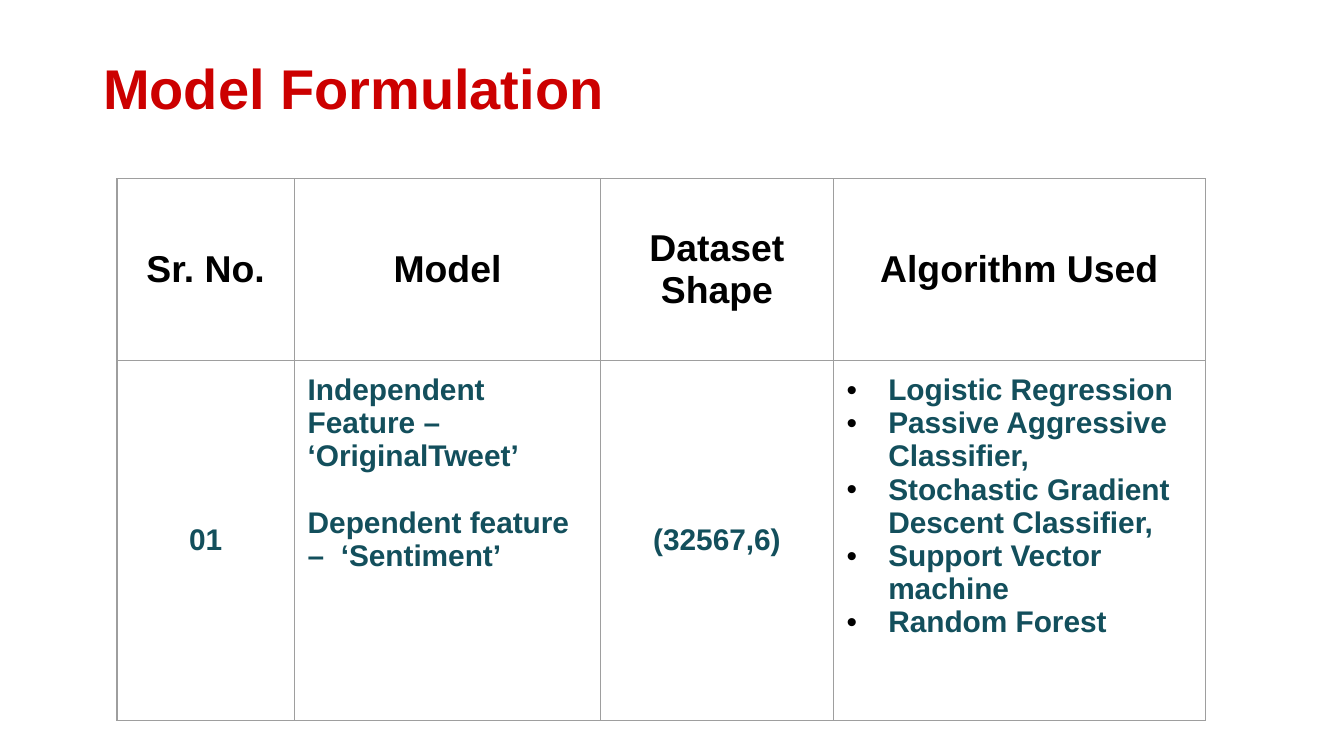
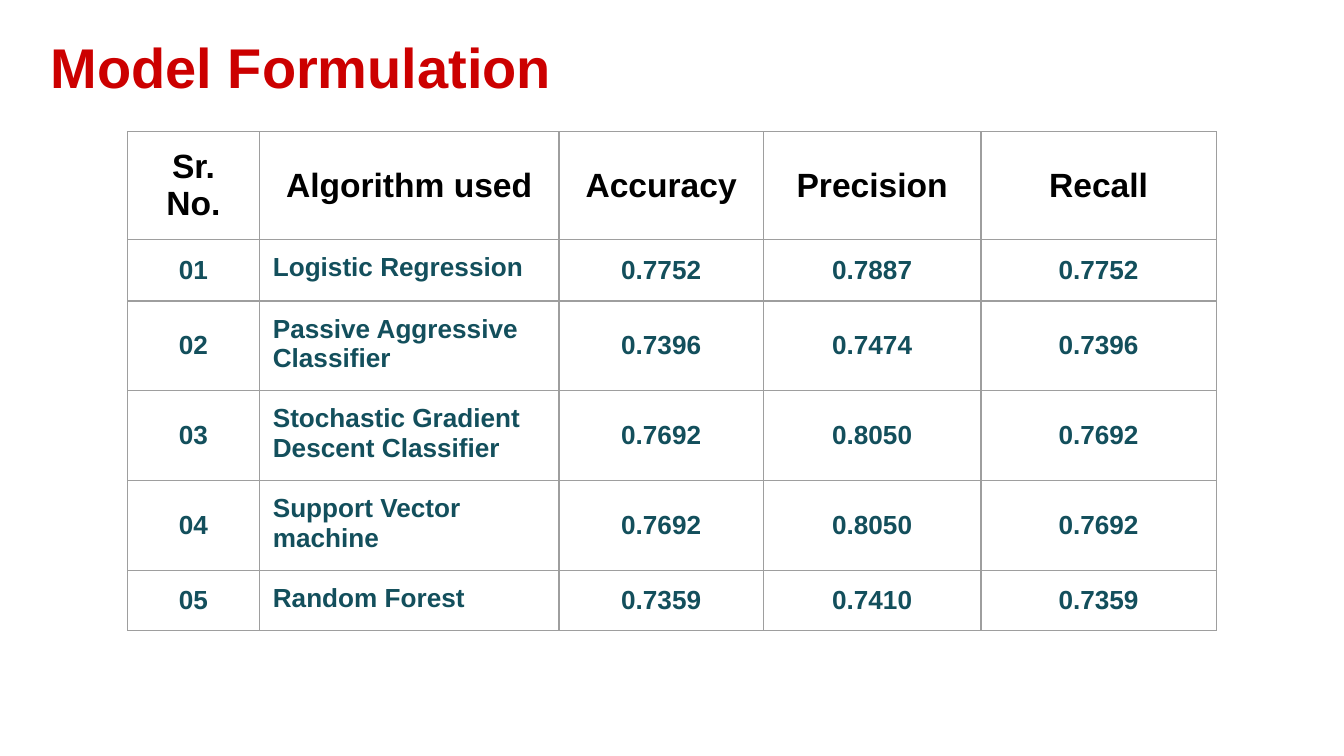
from lxml import etree
from pptx import Presentation
from pptx.dml.color import RGBColor
from pptx.enum.text import MSO_ANCHOR, PP_ALIGN
from pptx.oxml.ns import qn
from pptx.util import Pt

LEFT, CENTER = PP_ALIGN.LEFT, PP_ALIGN.CENTER
TOP, MIDDLE = MSO_ANCHOR.TOP, MSO_ANCHOR.MIDDLE

# Shared look
EMU_PER_PX = 4572  # 200 px to the inch
SLIDE_W, SLIDE_H = 2000, 1125
FONT = "Arial"
RED, BLACK, TEAL, GRAY = "CC0000", "000000", "134F5C", "9E9E9E"
TITLE_SIZE = 30
INSET = 20
BULLET_INDENT = 62
BORDER_PT = 0.75


def px(length):
    return length * EMU_PER_PX


def color(hex_string):
    return RGBColor.from_string(hex_string)


def add_bullet(paragraph):
    props = paragraph._p.get_or_add_pPr()
    props.set("marL", str(px(BULLET_INDENT)))
    props.set("indent", str(-px(BULLET_INDENT)))
    bullet_color = etree.SubElement(props, qn("a:buClr"))
    etree.SubElement(bullet_color, qn("a:srgbClr"), val=BLACK)
    etree.SubElement(props, qn("a:buFont"), typeface=FONT)
    etree.SubElement(props, qn("a:buChar"), char="•")


def write_text(frame, text, size, ink, align=LEFT, gap=0, bullets=False):
    """Write each line of text as one paragraph, with gap points between them."""
    frame.word_wrap = True
    for index, line in enumerate(text.split("\n")):
        paragraph = frame.add_paragraph() if index else frame.paragraphs[0]
        paragraph.alignment = align
        paragraph.line_spacing = 1.0
        paragraph.space_before = Pt(gap if index else 0)
        paragraph.space_after = Pt(0)
        if bullets:
            add_bullet(paragraph)
        run = paragraph.add_run()
        run.text = line
        run.font.name = FONT
        run.font.size = Pt(size)
        run.font.bold = True
        run.font.color.rgb = color(ink)
        # The paragraph mark takes the run's size, so it cannot stretch the line
        mark = etree.SubElement(paragraph._p, qn("a:endParaRPr"), sz=str(size * 100))
        etree.SubElement(mark, qn("a:latin"), typeface=FONT)


def set_insets(target):
    target.margin_left = target.margin_right = px(INSET)
    target.margin_top = target.margin_bottom = px(INSET)


def add_title(slide, text, left, top, width, height):
    box = slide.shapes.add_textbox(px(left), px(top), px(width), px(height))
    set_insets(box.text_frame)
    box.text_frame.vertical_anchor = MIDDLE
    write_text(box.text_frame, text, TITLE_SIZE, RED)


def add_borders(cell):
    props = cell._tc.get_or_add_tcPr()
    for side in ("a:lnL", "a:lnR", "a:lnT", "a:lnB"):
        line = etree.SubElement(props, qn(side), w=str(Pt(BORDER_PT)))
        fill = etree.SubElement(line, qn("a:solidFill"))
        etree.SubElement(fill, qn("a:srgbClr"), val=GRAY)


def add_grid(slide, left, top, height, widths, row_heights, rows, header_size,
             body_size, left_columns, bullet_column=None, gap=0):
    """Add a table; its first row is the header, left_columns are top-left aligned."""
    frame = slide.shapes.add_table(
        len(rows), len(widths), px(left), px(top), px(sum(widths)), px(height))
    table = frame.table
    table.first_row = table.horz_banding = False
    for column, width in zip(table.columns, widths):
        column.width = px(width)
    for row, row_height in zip(table.rows, row_heights):
        row.height = px(row_height)
    frame.height = px(height)

    for r, texts in enumerate(rows):
        for c, text in enumerate(texts):
            cell = table.cell(r, c)
            is_header = r == 0
            is_left = not is_header and c in left_columns
            has_bullets = not is_header and c == bullet_column
            set_insets(cell)
            cell.vertical_anchor = TOP if is_left else MIDDLE
            add_borders(cell)
            cell.fill.background()
            write_text(cell.text_frame, text,
                       size=header_size if is_header else body_size,
                       ink=BLACK if is_header else TEAL,
                       align=LEFT if is_left else CENTER,
                       gap=0 if has_bullets else gap,
                       bullets=has_bullets)


def build_model_slide(slide):
    add_title(slide, "Model Formulation", 134, 32, 1732, 196)
    features = ("Independent Feature – ‘OriginalTweet’\n"
                "Dependent feature –  ‘Sentiment’")
    algorithms = "\n".join([
        "Logistic Regression",
        "Passive Aggressive Classifier,",
        "Stochastic Gradient Descent Classifier,",
        "Support Vector machine",
        "Random Forest",
    ])
    rows = [
        ("Sr. No.", "Model", "Dataset Shape", "Algorithm Used"),
        ("01", features, "(32567,6)", algorithms),
    ]
    add_grid(slide, 174, 266, 806, [264, 456, 346, 554], [270, 536], rows,
             header_size=20, body_size=16, left_columns=(1, 3),
             bullet_column=3, gap=18)


def build_scores_slide(slide):
    add_title(slide, "Model Formulation", 56, 0, 1890, 196)
    scores = [
        ("Logistic Regression", "0.7752", "0.7887", "0.7752"),
        ("Passive Aggressive Classifier", "0.7396", "0.7474", "0.7396"),
        ("Stochastic Gradient Descent Classifier", "0.7692", "0.8050", "0.7692"),
        ("Support Vector machine", "0.7692", "0.8050", "0.7692"),
        ("Random Forest", "0.7359", "0.7410", "0.7359"),
    ]
    rows = [("Sr. No.", "Algorithm used", "Accuracy", "Precision", "Recall")]
    rows += [(f"{number:02}", *score) for number, score in enumerate(scores, 1)]
    # Least heights: rows with two lines of text grow to fit
    row_heights = [152, 92, 60, 0, 90, 90]
    add_grid(slide, 190, 196, 742, [196, 446, 304, 324, 350], row_heights, rows,
             header_size=18, body_size=14, left_columns=(1,))


def main():
    deck = Presentation()
    deck.slide_width, deck.slide_height = px(SLIDE_W), px(SLIDE_H)
    blank = deck.slide_layouts[6]
    build_model_slide(deck.slides.add_slide(blank))
    build_scores_slide(deck.slides.add_slide(blank))
    deck.save("out.pptx")


if __name__ == "__main__":
    main()
